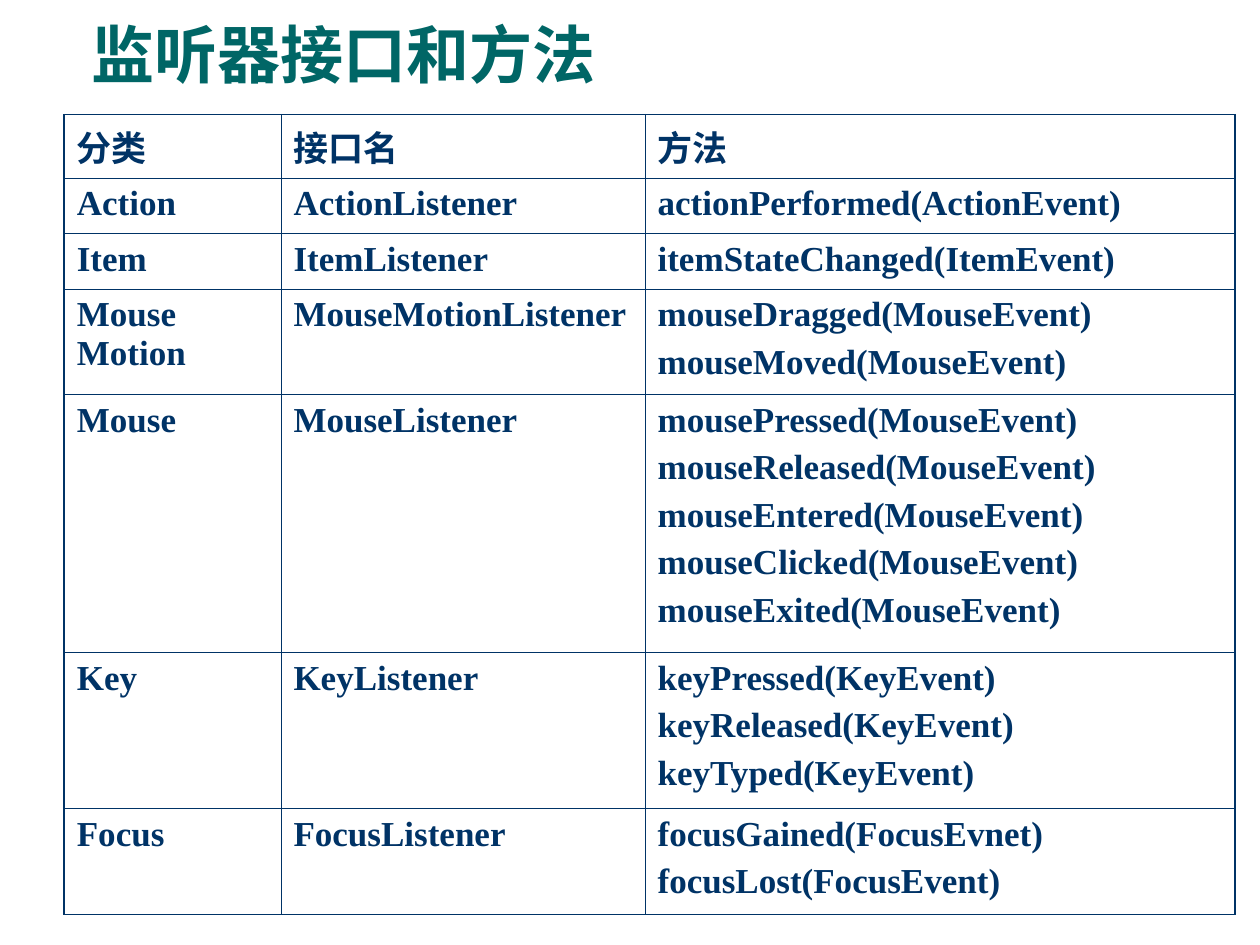
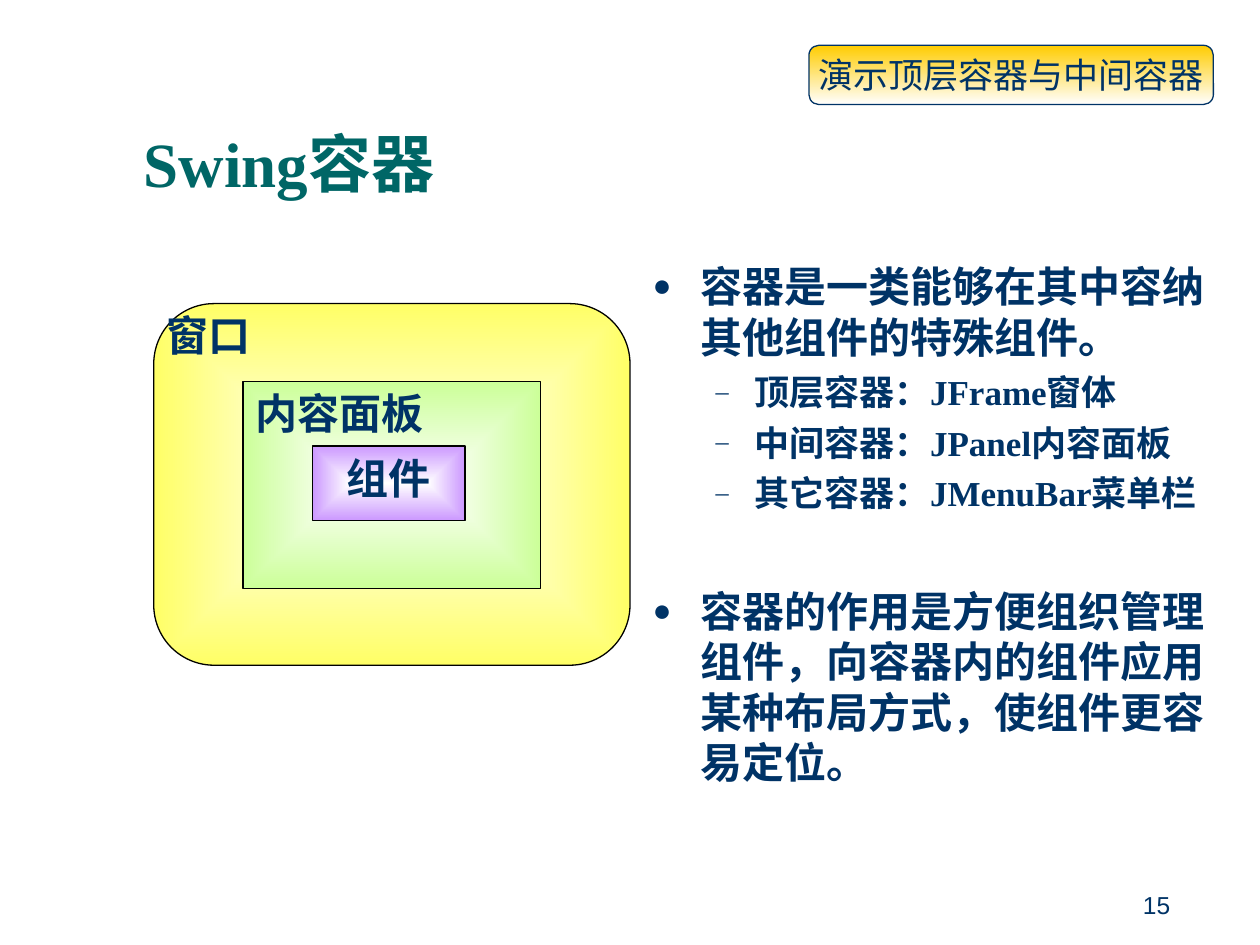
from typing import NamedTuple, Optional

from lxml.etree import SubElement
from pptx import Presentation
from pptx.dml.color import RGBColor
from pptx.enum.shapes import MSO_SHAPE
from pptx.enum.text import MSO_ANCHOR, MSO_AUTO_SIZE, PP_ALIGN
from pptx.oxml import parse_xml
from pptx.oxml.ns import nsdecls, qn
from pptx.util import Inches, Pt

SLIDE_WIDTH, SLIDE_HEIGHT = Inches(10), Inches(7.5)
NAVY = RGBColor(0x00, 0x33, 0x66)
TEAL = RGBColor(0x00, 0x66, 0x66)
BLACK = RGBColor(0x00, 0x00, 0x00)
WHITE = RGBColor(0xFF, 0xFF, 0xFF)
YELLOW = RGBColor(0xFF, 0xFF, 0x66)
GREEN = RGBColor(0xCC, 0xFF, 0x99)
PURPLE = RGBColor(0xCC, 0x99, 0xFF)
GOLD = RGBColor(0xFF, 0xCC, 0x00)
SERIF, SANS = "Times New Roman", "Arial"
OUTER_BORDER, INNER_BORDER = Pt(1.08), Pt(0.45)


class Area(NamedTuple):
    """Percentages of the slide's width and height."""

    left: float
    top: float
    width: float
    height: float


class Listener(NamedTuple):
    category: str
    interface: str
    methods: str
    height: float


class Container(NamedTuple):
    area: Area
    outline: MSO_SHAPE
    colour: RGBColor
    label: str
    align: PP_ALIGN


class Point(NamedTuple):
    text: str
    level: int
    space_before: float


class BulletStyle(NamedTuple):
    symbol: str
    margin: float
    hanging: float
    size: float


LISTENER_AREA = Area(5.1, 12.13, 92.9, 83.82)
COLUMN_SHARES = (17.2, 28.9, 46.8)
LISTENERS = (
    Listener("分类", "接口名", "方法", 5.88),
    Listener("Action", "ActionListener", "actionPerformed(ActionEvent)", 5.88),
    Listener("Item", "ItemListener", "itemStateChanged(ItemEvent)", 5.88),
    Listener("Mouse Motion", "MouseMotionListener",
             "mouseDragged(MouseEvent)\nmouseMoved(MouseEvent)", 11.15),
    Listener("Mouse", "MouseListener",
             "mousePressed(MouseEvent)\nmouseReleased(MouseEvent)\n"
             "mouseEntered(MouseEvent)\nmouseClicked(MouseEvent)\n"
             "mouseExited(MouseEvent)", 27.3),
    Listener("Key", "KeyListener",
             "keyPressed(KeyEvent)\nkeyReleased(KeyEvent)\nkeyTyped(KeyEvent)", 16.53),
    Listener("Focus", "FocusListener",
             "focusGained(FocusEvnet)\nfocusLost(FocusEvent)", 11.2),
)
WINDOW_AREA = Area(12.2, 32.13, 37.8, 38.27)
WINDOW_LABEL_AREA = WINDOW_AREA._replace(width=11.8, height=8.13)
CONTAINERS = (
    Container(WINDOW_AREA, MSO_SHAPE.FLOWCHART_ALTERNATE_PROCESS, YELLOW, "",
              PP_ALIGN.JUSTIFY),
    Container(Area(19.3, 40.4, 23.6, 21.87), MSO_SHAPE.RECTANGLE, GREEN, "内容面板",
              PP_ALIGN.JUSTIFY),
    Container(Area(24.8, 47.2, 12.1, 7.87), MSO_SHAPE.RECTANGLE, PURPLE, "组件",
              PP_ALIGN.CENTER),
)
BULLETS = (BulletStyle("●", 0.38, 0.38, 24), BulletStyle("–", 0.81, 0.31, 20))
POINTS = (
    Point("容器是一类能够在其中容纳其他组件的特殊组件。", 0, 0),
    Point("顶层容器：JFrame窗体", 1, 5),
    Point("中间容器：JPanel内容面板", 1, 5),
    Point("其它容器：JMenuBar菜单栏", 1, 5),
    Point("容器的作用是方便组织管理组件，向容器内的组件应用某种布局方式，使组件更容易定位。", 0, 41),
)


def across(percent: float) -> int:
    return round(SLIDE_WIDTH * percent / 100)


def down(percent: float) -> int:
    return round(SLIDE_HEIGHT * percent / 100)


def bounds(area: Area) -> tuple:
    return across(area.left), down(area.top), across(area.width), down(area.height)


def write_text(frame, text: str, *, size: float = 24, colour: RGBColor = NAVY,
               face: str = SERIF, bold: bool = True, align: PP_ALIGN = PP_ALIGN.LEFT,
               space_before: float = 0, line_spacing: float = 1,
               bullet: Optional[BulletStyle] = None, level: int = 0) -> None:
    for line in text.split("\n"):
        paragraph = frame.paragraphs[0]
        first = not paragraph.runs
        if not first:
            paragraph = frame.add_paragraph()
        if bullet:
            add_bullet(paragraph, bullet)
        paragraph.level = level
        paragraph.alignment = align
        paragraph.space_before = Pt(0 if first else space_before)
        paragraph.line_spacing = line_spacing
        run = paragraph.add_run()
        run.text = line
        run.font.size, run.font.name, run.font.bold = Pt(size), face, bold
        run.font.color.rgb = colour


def add_bullet(paragraph, bullet: BulletStyle) -> None:
    properties = paragraph._p.get_or_add_pPr()
    properties.set("marL", str(Inches(bullet.margin)))
    properties.set("indent", str(-Inches(bullet.hanging)))
    colour = SubElement(properties, qn("a:buClr"))
    SubElement(colour, qn("a:srgbClr"), val=str(NAVY))
    SubElement(properties, qn("a:buSzPct"), val="75000")
    SubElement(properties, qn("a:buFont"), typeface=SERIF)
    SubElement(properties, qn("a:buChar"), char=bullet.symbol)


def place_placeholder(placeholder, area: Area, anchor: MSO_ANCHOR):
    placeholder.left, placeholder.top, placeholder.width, placeholder.height = bounds(area)
    frame = placeholder.text_frame
    frame.auto_size = MSO_AUTO_SIZE.NONE
    frame.word_wrap = True
    frame.vertical_anchor = anchor
    return frame


def add_title(slide, text: str, area: Area) -> None:
    frame = place_placeholder(slide.shapes.title, area, MSO_ANCHOR.BOTTOM)
    write_text(frame, text, size=36, colour=TEAL, line_spacing=0.9)


def add_label(shapes, area: Area, text: str, anchor: MSO_ANCHOR = MSO_ANCHOR.TOP,
              **text_format) -> None:
    frame = shapes.add_textbox(*bounds(area)).text_frame
    frame.word_wrap = True
    frame.vertical_anchor = anchor
    write_text(frame, text, **text_format)


def add_gradient_shape(shapes, outline: MSO_SHAPE, area: Area, start: RGBColor,
                       end: RGBColor, line: RGBColor, from_centre: bool = False):
    shape = shapes.add_shape(outline, *bounds(area))
    shape.shadow.inherit = False
    shape.line.color.rgb = line
    shape.line.width = Pt(0.75)
    shape.fill.gradient()
    shape.fill.gradient_angle = 270
    for stop, colour in zip(shape.fill.gradient_stops, (start, end)):
        stop.color.rgb = colour
    if from_centre:
        gradient = shape._element.spPr.find(qn("a:gradFill"))
        gradient.replace(gradient.find(qn("a:lin")), parse_xml(
            f'<a:path {nsdecls("a")} path="rect">'
            '<a:fillToRect l="50000" t="50000" r="50000" b="50000"/></a:path>'))
    return shape


def set_borders(cell, outer_sides: dict) -> None:
    properties = cell._tc.get_or_add_tcPr()
    for position, (side, is_outer) in enumerate(outer_sides.items()):
        width = OUTER_BORDER if is_outer else INNER_BORDER
        properties.insert(position, parse_xml(
            f'<a:ln{side} {nsdecls("a")} w="{width}"><a:solidFill>'
            f'<a:srgbClr val="{NAVY}"/></a:solidFill></a:ln{side}>'))


def add_listener_table(slide) -> None:
    last_row, last_column = len(LISTENERS) - 1, len(COLUMN_SHARES) - 1
    table = slide.shapes.add_table(last_row + 1, last_column + 1,
                                   *bounds(LISTENER_AREA)).table
    table.first_row = table.horz_banding = False
    for column, share in zip(table.columns, COLUMN_SHARES):
        column.width = across(share)
    for row, listener in enumerate(LISTENERS):
        table.rows[row].height = down(listener.height)
        for column, text in enumerate(listener[:3]):
            cell = table.cell(row, column)
            cell.fill.background()
            set_borders(cell, {"L": column == 0, "R": column == last_column,
                               "T": row == 0, "B": row == last_row})
            write_text(cell.text_frame, text, size=20, space_before=5)


def build_listener_slide(presentation) -> None:
    slide = presentation.slides.add_slide(presentation.slide_layouts[5])
    add_title(slide, "监听器接口和方法", Area(6.3, 1.6, 55.1, 8.8))
    add_listener_table(slide)


def build_container_slide(presentation) -> None:
    slide = presentation.slides.add_slide(presentation.slide_layouts[1])
    add_label(slide.shapes, Area(88.6, 91.07, 6.4, 6.93), "15", MSO_ANCHOR.BOTTOM,
              size=14, face=SANS, bold=False, align=PP_ALIGN.CENTER)
    add_title(slide, "Swing容器", Area(10.4, 11.87, 84.1, 10.13))

    points = place_placeholder(slide.placeholders[1], Area(50.8, 26.93, 46.9, 61.87),
                               MSO_ANCHOR.TOP)
    for point in POINTS:
        bullet = BULLETS[point.level]
        write_text(points, point.text, size=bullet.size, bullet=bullet,
                   level=point.level, space_before=point.space_before)

    nesting = slide.shapes.add_group_shape().shapes
    for container in CONTAINERS:
        shape = add_gradient_shape(nesting, container.outline, container.area, WHITE,
                                   container.colour, BLACK, from_centre=True)
        if container.label:
            shape.text_frame.vertical_anchor = MSO_ANCHOR.TOP
            write_text(shape.text_frame, container.label, align=container.align)
    add_label(nesting, WINDOW_LABEL_AREA, "窗口", align=PP_ALIGN.JUSTIFY)

    demo = add_gradient_shape(slide.shapes, MSO_SHAPE.ROUNDED_RECTANGLE,
                              Area(64.2, 4.8, 32.1, 6.27), GOLD, WHITE, NAVY)
    demo.text_frame.word_wrap = False
    demo.text_frame.vertical_anchor = MSO_ANCHOR.MIDDLE
    write_text(demo.text_frame, "演示顶层容器与中间容器", size=20, face=SANS, bold=False,
               align=PP_ALIGN.CENTER)


def main() -> None:
    presentation = Presentation()
    presentation.slide_width, presentation.slide_height = SLIDE_WIDTH, SLIDE_HEIGHT
    build_listener_slide(presentation)
    build_container_slide(presentation)
    presentation.save("out.pptx")


if __name__ == "__main__":
    main()
